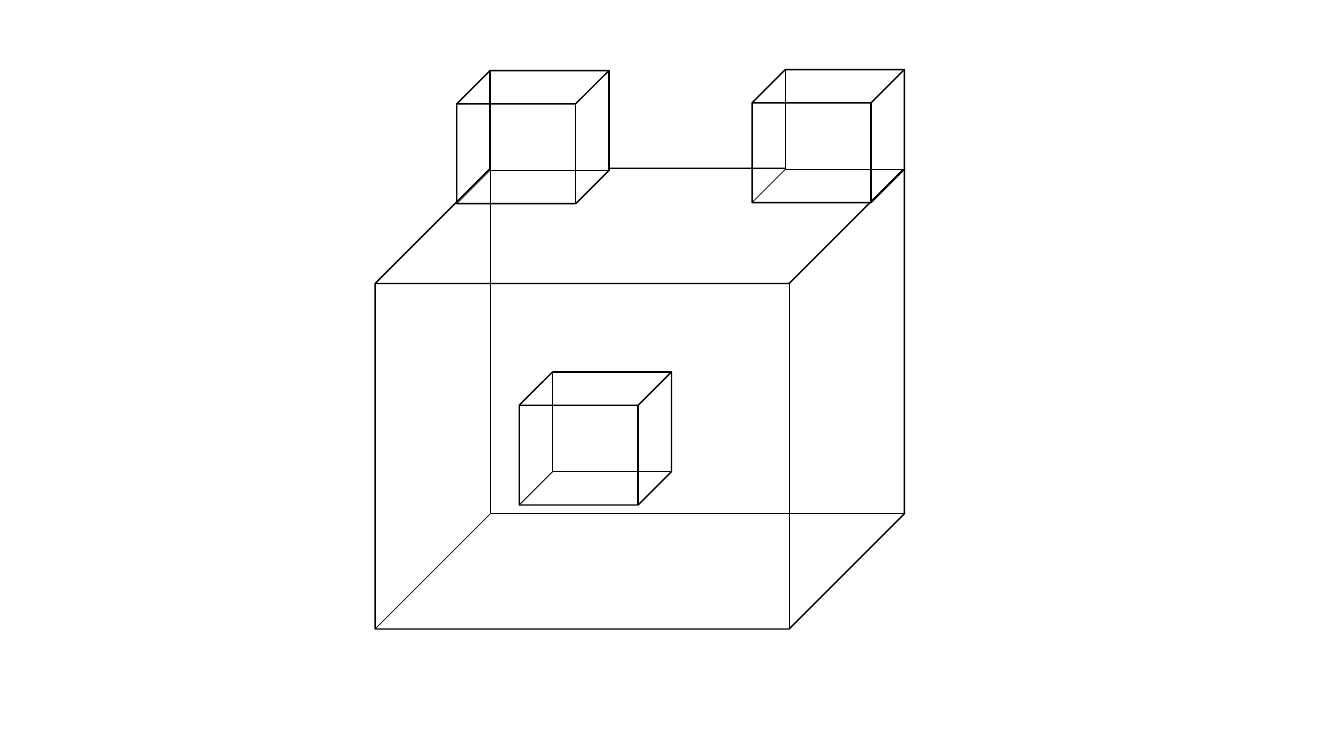
from pptx import Presentation
from pptx.dml.color import RGBColor
from pptx.enum import shapes
from pptx.oxml import ns
from pptx.util import Inches, Pt
from lxml import etree

BLACK = RGBColor(0, 0, 0)
WHITE = RGBColor(255, 255, 255)

presentation = Presentation()
presentation.slide_width = Inches(13.33)
presentation.slide_height = Inches(7.5)
slide = presentation.slides.add_slide(presentation.slide_layouts[6])


def add_face(group, kind, left, top, width, height):
    shape = group.shapes.add_shape(
        kind, Inches(left), Inches(top), Inches(width), Inches(height))
    shape.shadow.inherit = False
    shape.line.color.rgb = BLACK
    shape.line.width = Pt(1)
    return shape


cubes = [
    (3.72, 1.67, 5.25, 4.57),
    (7.46, 0.69, 1.51, 1.32),
    (4.53, 0.7, 1.51, 1.32),
    (5.15, 3.69, 1.51, 1.32),
]
for left, top, width, height in cubes:
    depth = height / 4
    back_left = left + depth
    back_height = height - depth
    group = slide.shapes.add_group_shape()

    back = add_face(group, shapes.MSO_SHAPE.RECTANGLE,
                    back_left, top, width - depth, back_height)
    back.fill.solid()
    back.fill.fore_color.rgb = WHITE

    cube = add_face(group, shapes.MSO_SHAPE.CUBE, left, top, width, height)
    cube.fill.background()

    edge = group.shapes.add_connector(
        shapes.MSO_CONNECTOR.STRAIGHT,
        Inches(back_left), Inches(top + back_height),
        Inches(left), Inches(top + height))
    edge.line.color.rgb = BLACK
    edge.line.width = Pt(0.5)
    properties = edge._element.find(ns.qn("p:spPr"))
    etree.SubElement(properties, ns.qn("a:effectLst"))

presentation.save("out.pptx")
